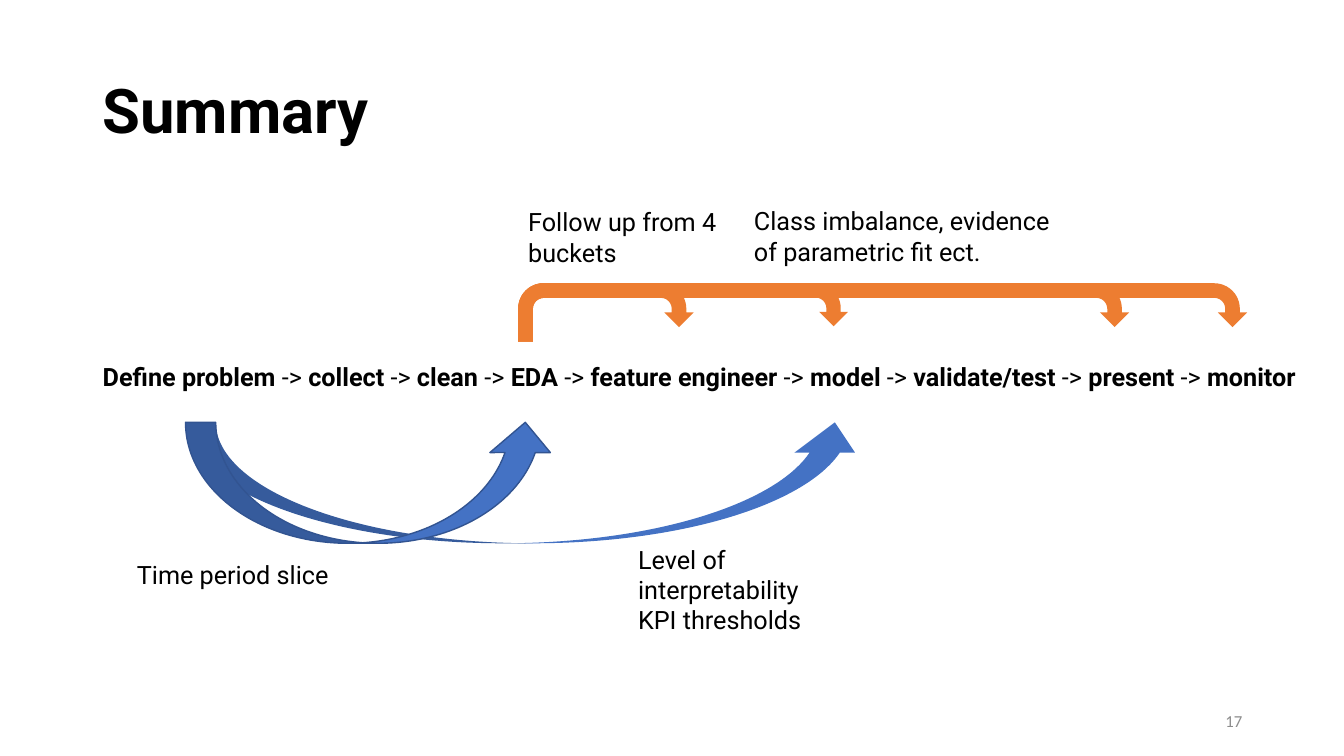
from pptx import Presentation
from pptx.dml.color import RGBColor
from pptx.enum.shapes import MSO_SHAPE as SHAPE
from pptx.enum.text import MSO_ANCHOR as ANCHOR, PP_ALIGN as ALIGN
from pptx.util import Inches, Pt

COLORS = {"black": "000000", "grey": "8C8C8C", "blue": "4472C4",
          "navy": "325491", "orange": "ED7D31"}

prs = Presentation()
prs.slide_width, prs.slide_height = Inches(13.33), Inches(7.5)
slide = prs.slides.add_slide(prs.slide_layouts[6])


def add_text(box, lines, size=18, font="Roboto", color="black", anchor=ANCHOR.TOP):
    tf = slide.shapes.add_textbox(*map(Inches, box)).text_frame
    tf.word_wrap = True
    tf.vertical_anchor = anchor
    tf.text = "\n".join(lines)
    for p in tf.paragraphs:
        p.font.size = Pt(size)
        for r in p.runs:
            r.font.size = Pt(size)
            r.font.name = font
            r.font.color.rgb = RGBColor.from_string(COLORS[color])
    return tf


def add_arrow(kind, box, fill):
    sp = slide.shapes.add_shape(kind, *map(Inches, box))
    sp.shadow.inherit = False
    sp.fill.solid()
    sp.fill.fore_color.rgb = RGBColor.from_string(COLORS[fill])
    sp.line.fill.background()
    return sp


title = add_text((0.92, 0.4, 11.5, 1.45), ["Summary"], size=44, anchor=ANCHOR.MIDDLE)
title.paragraphs[0].line_spacing = 0.9
title.paragraphs[0].runs[0].font.bold = True

steps = ["Define problem", "collect", "clean", "EDA", "feature engineer",
         "model", "validate/test", "present", "monitor"]
p = add_text((0.92, 3.54, 12.32, 0.4), [""]).paragraphs[0]
for i, step in enumerate(steps):
    for text, bold in ((" -> ", False), (step, True)):
        if i == 0 and not bold:
            continue
        r = p.add_run()
        r.text = text
        r.font.name = "Roboto"
        r.font.size = Pt(18)
        r.font.bold = bold
        r.font.color.rgb = RGBColor.from_string(COLORS["black"])

add_arrow(SHAPE.CURVED_UP_ARROW, (1.84, 4.19, 6.74, 1.2), "blue")
to_eda = add_arrow(SHAPE.CURVED_UP_ARROW, (1.84, 4.19, 3.67, 1.2), "blue")
to_eda.line.color.rgb = RGBColor.from_string(COLORS["navy"])
to_eda.line.width = Pt(1)

for width, height in ((1.74, 0.58), (6.06, 0.58), (7.23, 0.58), (3.27, 0.57)):
    add_arrow(SHAPE.U_TURN_ARROW, (5.14, 2.81, width, height), "orange")

add_text((6.23, 5.35, 2.7, 0.71), ["Level of interpretability", "KPI thresholds"])
add_text((5.14, 2, 2.48, 1.01), ["Follow up from 4 buckets"])
add_text((1.26, 5.5, 2.7, 0.4), ["Time period slice"])
add_text((7.38, 1.99, 3.33, 1.01), ["Class imbalance, evidence of parametric fit ect."])

number = add_text((9.42, 6.95, 3, 0.4), ["17"], size=12, font="Calibri",
                  color="grey", anchor=ANCHOR.MIDDLE)
number.paragraphs[0].alignment = ALIGN.RIGHT

prs.save("out.pptx")
